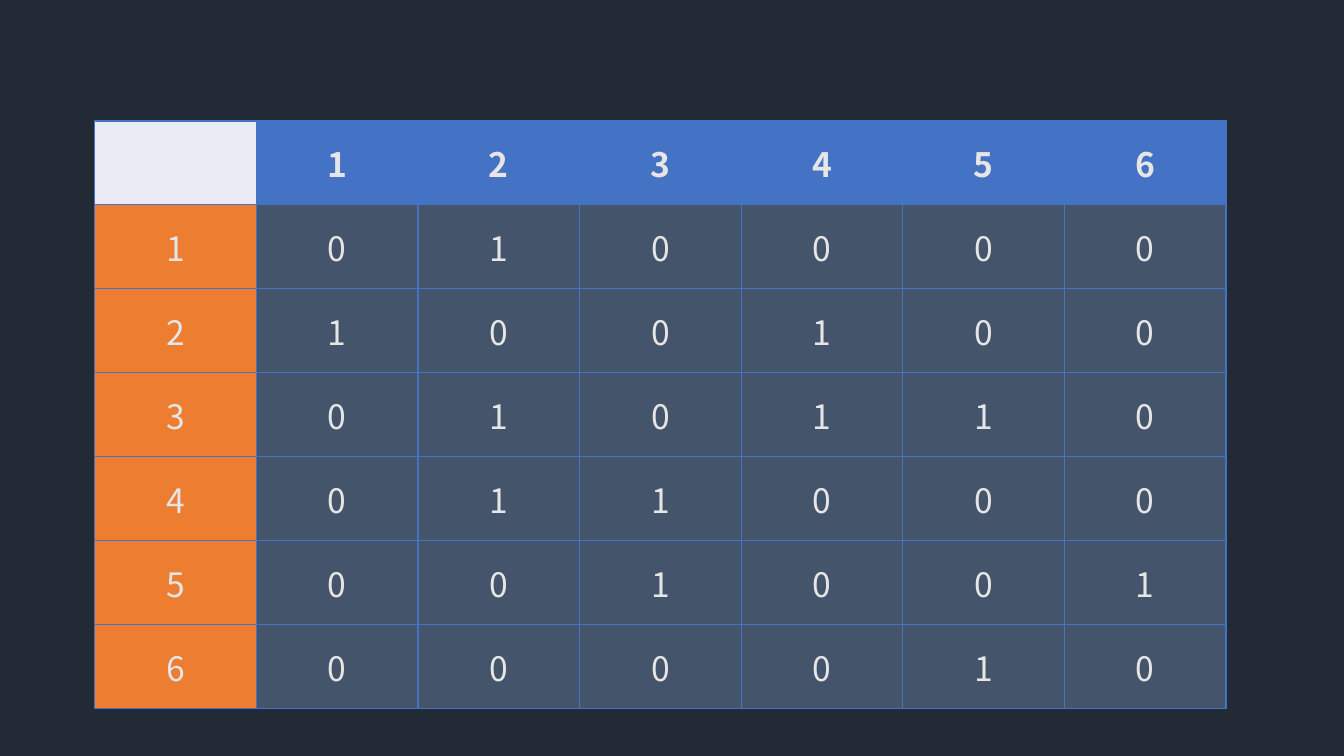
from lxml import etree
from pptx import Presentation
from pptx.dml.color import RGBColor
from pptx.enum import text
from pptx.oxml import ns
from pptx.util import Inches, Pt

NIGHT = RGBColor(0x22, 0x2A, 0x35)
PALE = RGBColor(0xE9, 0xEB, 0xF5)
BLUE = RGBColor(0x44, 0x72, 0xC4)
ORANGE = RGBColor(0xED, 0x7D, 0x31)
SLATE = RGBColor(0x44, 0x54, 0x6A)
LIGHT = RGBColor(0xE7, 0xE6, 0xE6)
FONT = "Noto Sans CJK KR"

ADJACENCY = ["010000", "100100", "010110", "011000", "001001", "000010"]


def add_borders(cell):
    properties = cell._tc.get_or_add_tcPr()
    for side in ("a:lnL", "a:lnR", "a:lnT", "a:lnB"):
        line = etree.SubElement(properties, ns.qn(side), w=str(Pt(1)))
        fill = etree.SubElement(line, ns.qn("a:solidFill"))
        etree.SubElement(fill, ns.qn("a:srgbClr"), val=str(BLUE))


def style_cell(cell, label, color, bold):
    add_borders(cell)
    cell.fill.solid()
    cell.fill.fore_color.rgb = color
    cell.vertical_anchor = text.MSO_ANCHOR.MIDDLE
    cell.text = label
    para = cell.text_frame.paragraphs[0]
    para.alignment = text.PP_ALIGN.CENTER
    para.font.name = FONT
    para.font.size = Pt(24)
    para.font.bold = bold
    para.font.color.rgb = LIGHT


def cell_color(row, column):
    if row == 0:
        return BLUE if column else PALE
    return SLATE if column else ORANGE


def add_matrix(page, matrix):
    count = len(matrix) + 1
    labels = [str(number) for number in range(1, count)]
    rows = [["", *labels]]
    rows += [[label, *values] for label, values in zip(labels, matrix)]
    frame = page.shapes.add_table(
        count, count, Inches(0.94), Inches(1.2), Inches(11.22), Inches(5.83))
    table = frame.table
    for row, values in enumerate(rows):
        for column, value in enumerate(values):
            style_cell(table.cell(row, column), value, cell_color(row, column), row == 0)


def main():
    deck = Presentation()
    deck.slide_width = Inches(13.33)
    deck.slide_height = Inches(7.5)
    page = deck.slides.add_slide(deck.slide_layouts[6])
    page.background.fill.solid()
    page.background.fill.fore_color.rgb = NIGHT
    add_matrix(page, ADJACENCY)
    deck.save("out.pptx")


if __name__ == "__main__":
    main()
